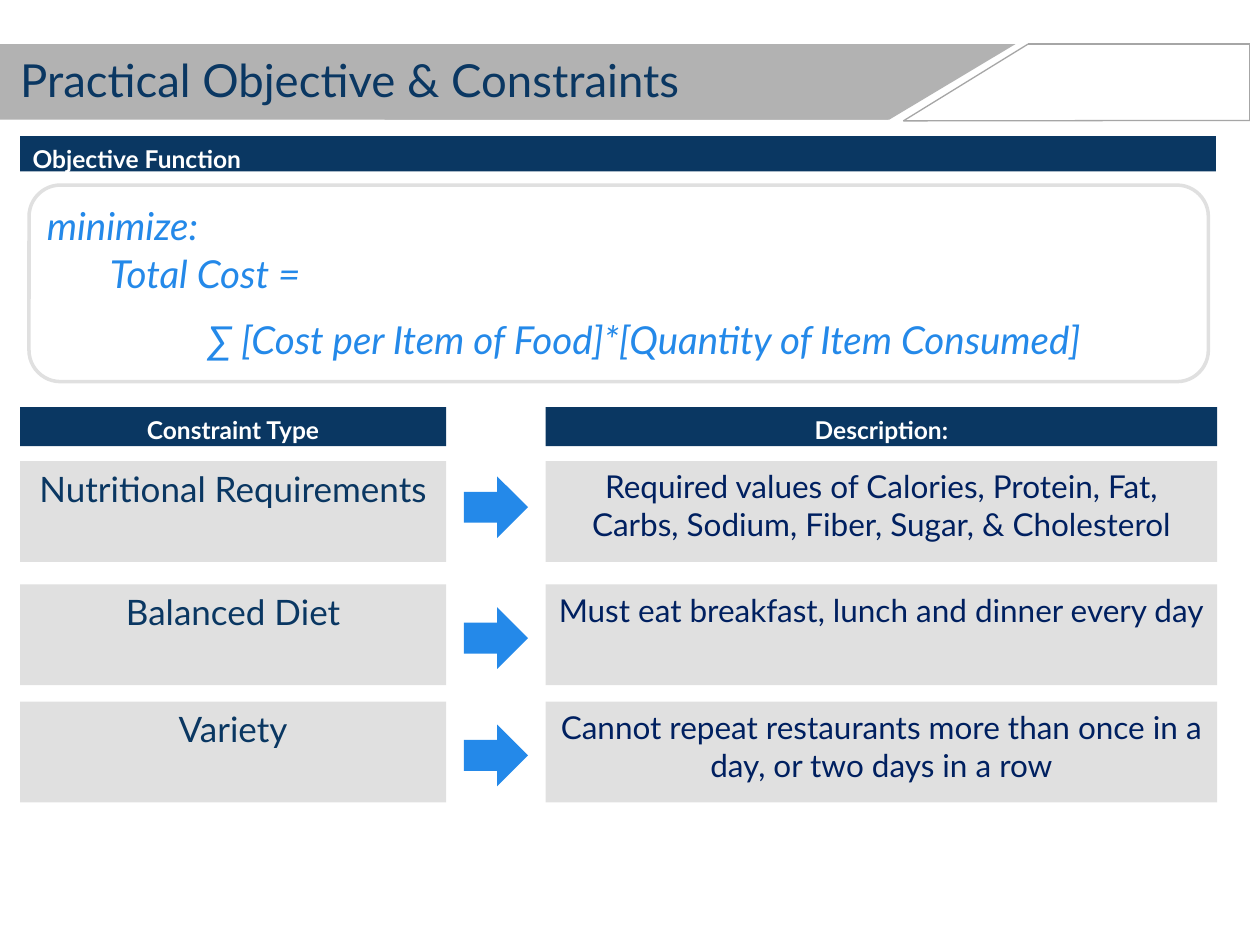
from lxml.etree import SubElement
from pptx import Presentation
from pptx.dml.color import RGBColor
from pptx.enum.shapes import MSO_CONNECTOR, MSO_SHAPE
from pptx.enum.text import MSO_ANCHOR, PP_ALIGN
from pptx.oxml.ns import qn
from pptx.util import Pt

NAVY, GREY, BLUE = "0A3762", "E0E0E0", "2489E9"
TITLE = "Practical Objective & Constraints"
HEADINGS = ("Constraint Type", "Description:")
CONSTRAINTS = [
    ("Nutritional Requirements",
     "Required values of Calories, Protein, Fat, Carbs, Sodium, Fiber, Sugar, & Cholesterol",
     263.5, 272.2),
    ("Balanced Diet", "Must eat breakfast, lunch and dinner every day", 334, 347),
    ("Variety",
     "Cannot repeat restaurants more than once in a day, or two days in a row",
     401, 414),
]
FORMULA = [
    ("minimize:", 0, 0),
    ("Total Cost =", 36, 0),
    ("∑ [Cost per Item of Food]*[Quantity of Item Consumed]", 92, 10),
]
COLUMNS = [(11.5, 243.4), (311.8, 383.8)]
TAB_CORNERS = [(516.2, 69.1), (587.5, 25.2), (714.2, 25.2), (714.2, 68.8)]

HEADING = {"size": Pt(14), "bold": True, "color": "FFFFFF"}
TYPE = {"size": Pt(20), "color": NAVY}
DESCRIPTION = {"size": Pt(18), "color": "002060"}
FORMULA_FONT = {"size": Pt(22), "italic": True, "color": BLUE}


def rgb(value):
    return RGBColor.from_string(value)


def write(p, text, font, align=PP_ALIGN.LEFT, spacing=1.0):
    p.alignment, p.line_spacing = align, spacing
    r = p.add_run()
    r.text = text
    r.font.name = "Lato"
    for name, value in font.items():
        if name == "color":
            r.font.color.rgb = rgb(value)
        else:
            setattr(r.font, name, value)


def add_box(s, kind, left, top, width, height, fill=None):
    sp = s.shapes.add_shape(kind, Pt(left), Pt(top), Pt(width), Pt(height))
    sp.shadow.inherit = False
    sp.line.fill.background()
    if fill:
        sp.fill.solid()
        sp.fill.fore_color.rgb = rgb(fill)
    else:
        sp.fill.background()
    sp.text_frame.word_wrap = True
    sp.text_frame.vertical_anchor = MSO_ANCHOR.TOP
    return sp


def add_label(s, left, top, width, height, fill, text, font,
              align=PP_ALIGN.CENTER, spacing=1.0):
    sp = add_box(s, MSO_SHAPE.RECTANGLE, left, top, width, height, fill)
    write(sp.text_frame.paragraphs[0], text, font, align, spacing)


def add_banner(s):
    add_box(s, MSO_SHAPE.RECTANGLE, 0, 25.2, 507.6, 43.2, "B2B2B2")
    add_box(s, MSO_SHAPE.FLOWCHART_DATA, 219.6, 25.2, 360.7, 43.2, "B2B2B2")
    for start, end in zip(TAB_CORNERS, TAB_CORNERS[1:] + TAB_CORNERS[:1]):
        line = s.shapes.add_connector(MSO_CONNECTOR.STRAIGHT, *map(Pt, start + end))
        line.line.color.rgb = rgb("A6A6A6")
        line.line.width = Pt(0.75)
        SubElement(line.element.spPr, qn("a:effectLst"))


def add_title(s):
    title = s.shapes.title
    box = {"left": 11.5, "top": 39.6, "width": 491.8, "height": 21.6}
    for name, value in box.items():
        setattr(title, name, Pt(value))
    tf = title.text_frame
    frame = {"margin_left": 0, "margin_top": 0, "margin_right": 0, "margin_bottom": 0,
             "vertical_anchor": MSO_ANCHOR.BOTTOM, "word_wrap": True}
    for name, value in frame.items():
        setattr(tf, name, value)
    write(tf.paragraphs[0], TITLE, {"size": Pt(26), "color": NAVY}, spacing=Pt(21.2))
    s.shapes.element.append(title.element)


def add_objective(s):
    add_label(s, 11.5, 77.8, 683.3, 20.2, NAVY, "Objective Function", HEADING,
              PP_ALIGN.LEFT, 1.05)
    sp = add_box(s, MSO_SHAPE.ROUNDED_RECTANGLE, 16.6, 105.8, 673.9, 112.3)
    sp.adjustments[0] = 0.16
    sp.line.color.rgb = rgb(GREY)
    sp.line.width = Pt(2)
    tf = sp.text_frame
    tf.margin_left = tf.margin_right = Pt(5)
    tf.margin_top = tf.margin_bottom = Pt(2.9)
    for i, (text, indent, before) in enumerate(FORMULA):
        p = tf.add_paragraph() if i else tf.paragraphs[0]
        write(p, text, FORMULA_FONT, spacing=1.05)
        p.space_before = Pt(before)
        p._p.get_or_add_pPr().set("marL", str(Pt(indent)))


def add_constraints(s):
    for (left, width), text in zip(COLUMNS, HEADINGS):
        add_label(s, left, 232.6, width, 22.3, NAVY, text, HEADING, spacing=1.05)
    for kind, description, top, arrow_top in CONSTRAINTS:
        cells = zip(COLUMNS, (kind, description), (TYPE, DESCRIPTION))
        for (left, width), text, font in cells:
            add_label(s, left, top, width, 57.6, GREY, text, font)
        add_box(s, MSO_SHAPE.RIGHT_ARROW, 265, arrow_top, 36.7, 35.3, BLUE)


def main():
    prs = Presentation()
    prs.slide_width, prs.slide_height = Pt(720), Pt(540)
    s = prs.slides.add_slide(prs.slide_layouts[5])
    add_banner(s)
    add_title(s)
    add_objective(s)
    add_constraints(s)
    prs.save("out.pptx")


if __name__ == "__main__":
    main()
